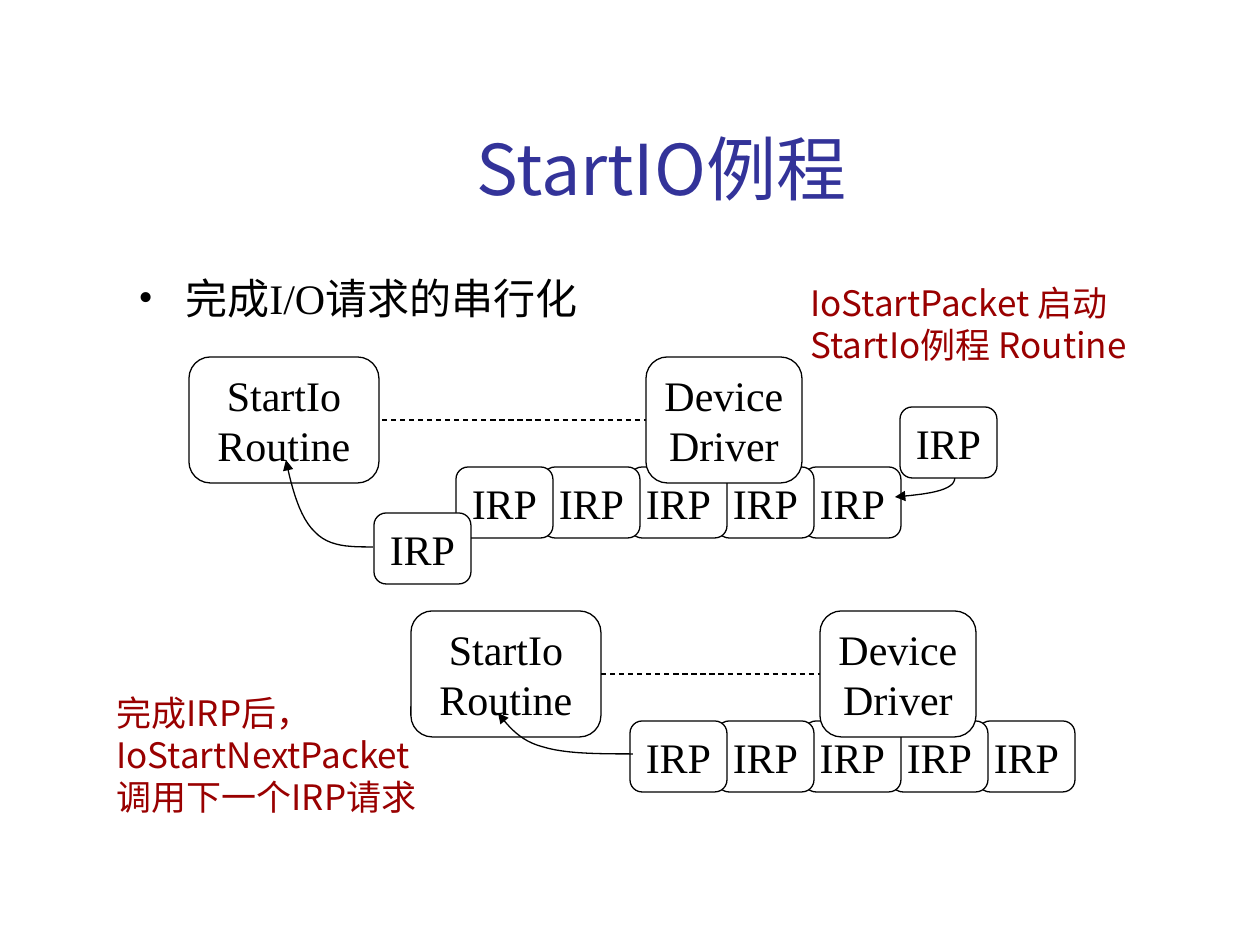
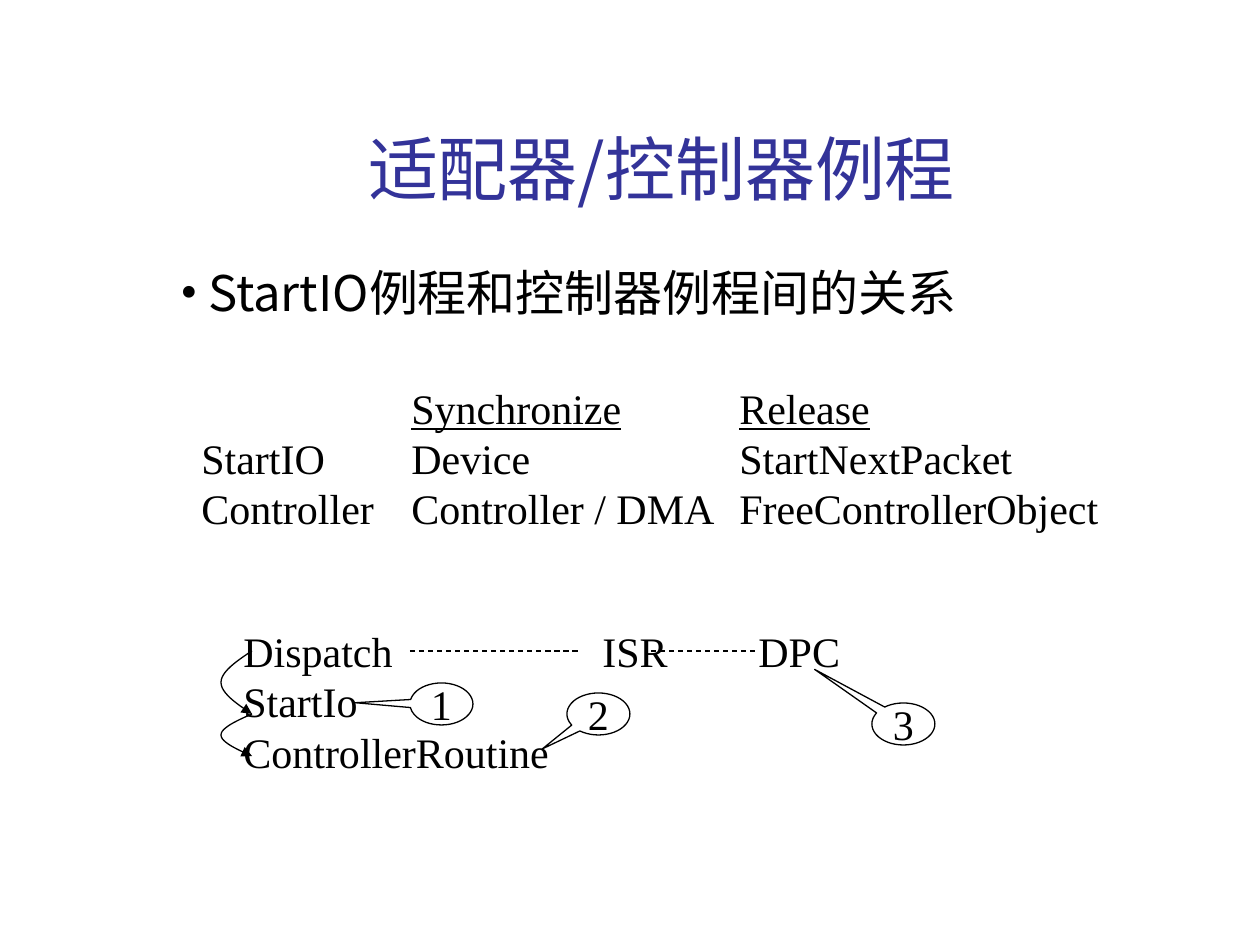
from lxml import etree
from pptx import Presentation
from pptx.dml.color import RGBColor
from pptx.enum import dml, shapes, text
from pptx.oxml.ns import qn
from pptx.util import Pt

PX = 7257
BLACK, WHITE, BLUE, RED = "000000", "FFFFFF", "333399", "990000"
SERIF, SANS = "Times New Roman", "Noto Sans CJK SC"
LEFT, CENTER = text.PP_ALIGN.LEFT, text.PP_ALIGN.CENTER
TOP, MIDDLE = text.MSO_ANCHOR.TOP, text.MSO_ANCHOR.MIDDLE
ROUNDED = shapes.MSO_SHAPE.ROUNDED_RECTANGLE
CALLOUT = shapes.MSO_SHAPE.OVAL_CALLOUT


def outline(shape, arrow=False, dashed=False):
    shape.line.color.rgb = RGBColor.from_string(BLACK)
    shape.line.width = Pt(0.75)
    if dashed:
        shape.line.dash_style = dml.MSO_LINE.DASH
    properties = shape._element.spPr
    if arrow:
        etree.SubElement(properties.find(qn("a:ln")), qn("a:tailEnd"), type="triangle")
    etree.SubElement(properties, qn("a:effectLst"))


def write(box, lines, size=24, font=SERIF, color=BLACK, align=LEFT, anchor=TOP,
          wrap=True, hanging=0, tabs=(), underlined=()):
    frame = box.text_frame
    frame.word_wrap = wrap
    frame.vertical_anchor = anchor
    frame.margin_left = frame.margin_right = Pt(7.2)
    frame.margin_top = frame.margin_bottom = Pt(3.6)
    for number, line in enumerate(lines):
        para = frame.add_paragraph() if number else frame.paragraphs[0]
        para.alignment = align
        para.line_spacing = Pt(size * 1.2)
        settings = para._p.get_or_add_pPr()
        if hanging:
            settings.set("marL", str(hanging * PX))
            settings.set("indent", str(-hanging * PX))
            bullet_color = etree.SubElement(settings, qn("a:buClr"))
            etree.SubElement(bullet_color, qn("a:srgbClr"), val=BLACK)
            etree.SubElement(settings, qn("a:buFont"), typeface=SERIF)
            etree.SubElement(settings, qn("a:buChar"), char="•")
        if tabs:
            stops = etree.SubElement(settings, qn("a:tabLst"))
            for stop in tabs:
                etree.SubElement(stops, qn("a:tab"), pos=str(stop * PX), algn="l")
        for words in line:
            span = para.add_run()
            span.text = words
            span.font.size = Pt(size)
            span.font.name = font
            span.font.color.rgb = RGBColor.from_string(color)
            if words in underlined:
                span.font.underline = True
            etree.SubElement(span._r.get_or_add_rPr(), qn("a:ea"), typeface=SANS)


IRP = [["IRP"]]
DRIVER = [["Device"], ["Driver"]]
ROUTINE = [["StartIo Routine"]]
IRP_SIZE, DRIVER_SIZE, ROUTINE_SIZE, CALLOUT_SIZE = (97, 71), (156, 126), (190, 126), (63, 42)
QUEUE_STEP = 87

startio_items = [
    ("text", (126, 266, 1040, 70), [["完成I/O请求的串行化"]], dict(hanging=47)),
]
for top, routine, driver, queue, dash, waiting, entering, taken in [
    (357, 189, 646, 456, (373, 663), [(374, 513)],
     [("curve", [(950, 460), (954, 470), (959, 480), (950, 486), (940, 493), (917, 495), (895, 497)]),
      ("shape", ROUNDED, (900, 407) + IRP_SIZE, IRP, [0.17], False)],
     [(373, 547), (350, 547), (329, 547), (315, 532), (300, 518), (292, 489), (286, 460)]),
    (611, 411, 820, 630, (547, 837), [], [],
     [(633, 754), (600, 754), (566, 754), (543, 747), (520, 741), (509, 727), (498, 713)]),
]:
    startio_items.append(("dash", dash[0], dash[1], top + 63))
    places = [(queue + QUEUE_STEP * slot, top + 110) for slot in reversed(range(5))]
    for place in places + waiting:
        startio_items.append(("shape", ROUNDED, place + IRP_SIZE, IRP, [0.17], False))
    startio_items += entering
    startio_items.append(("shape", ROUNDED, (driver, top) + DRIVER_SIZE, DRIVER, [0.17], False))
    startio_items.append(("shape", ROUNDED, (routine, top) + ROUTINE_SIZE, ROUTINE, [0.17], True))
    startio_items.append(("curve", taken))
note = dict(size=20, font=SANS, color=RED)
startio_items += [
    ("text", (798, 275, 378, 139), [["IoStartPacket 启动 StartIo例程 Routine"]], note),
    ("text", (104, 685, 348, 181), [["完成IRP后，IoStartNextPacket"], ["调用下一个IRP请求"]], note),
]

controller_items = [
    ("text", (189, 376, 922, 164),
     [["\t", "Synchronize", "\t", "Release"],
      ["StartIO\tDevice\tStartNextPacket"],
      ["Controller\tController / DMA\tFreeControllerObject"]],
     dict(wrap=False, tabs=(210, 538), underlined=("Synchronize", "Release"))),
    ("text", (231, 619, 684, 164),
     [["Dispatch\tISR\tDPC"], ["StartIo"], ["ControllerRoutine"]],
     dict(anchor=MIDDLE, tabs=(359, 515))),
]
for number, place, tip in [
    ("1", (410, 683), [-1.37, -0.03]),
    ("2", (567, 693), [-0.89, 0.83]),
    ("3", (872, 703), [-1.41, -1.3]),
]:
    controller_items.append(("shape", CALLOUT, place + CALLOUT_SIZE, [[number]], tip, False))
for top, bottom in [(651, 714), (714, 756)]:
    step = (bottom - top) / 6
    bends = [252, 236, 221, 221, 221, 236, 252]
    controller_items.append(("curve", [(x, top + step * i) for i, x in enumerate(bends)]))
controller_items += [
    ("dash", 410, 578, 651),
    ("dash", 651, 756, 651),
    ("text", (168, 256, 924, 131), [["StartIO例程和控制器例程间的关系"]],
     dict(size=28, font=SANS, hanging=28)),
]

deck = Presentation()
deck.slide_width, deck.slide_height = 1260 * PX, 945 * PX
title_style = dict(size=40, font=SANS, color=BLUE, align=CENTER, anchor=MIDDLE)
for title, items in [
    (["StartIO", "例程"], startio_items),
    (["适配器/控制器例程"], controller_items),
]:
    page = deck.slides.add_slide(deck.slide_layouts[6])
    heading = ("text", (126, 88, 1071, 158), [title], title_style)
    for kind, *details in [heading] + items:
        if kind == "text":
            area, lines, style = details
            write(page.shapes.add_textbox(*[v * PX for v in area]), lines, **style)
        elif kind == "shape":
            preset, area, lines, adjustments, wrap = details
            box = page.shapes.add_shape(preset, *[v * PX for v in area])
            for index, value in enumerate(adjustments):
                box.adjustments[index] = value
            box.fill.solid()
            box.fill.fore_color.rgb = RGBColor.from_string(WHITE)
            outline(box)
            write(box, lines, align=CENTER, anchor=MIDDLE, wrap=wrap)
        elif kind == "dash":
            start, end, height = details
            link = page.shapes.add_connector(
                shapes.MSO_CONNECTOR.STRAIGHT, start * PX, height * PX, end * PX, height * PX)
            outline(link, dashed=True)
        else:
            points = details[0]
            trail = []
            for first in (0, 3):
                bend = points[first:first + 4]
                for step in range(1, 13):
                    t = step / 12
                    weights = ((1 - t) ** 3, 3 * t * (1 - t) ** 2, 3 * t * t * (1 - t), t ** 3)
                    trail.append(tuple(
                        round(PX * sum(w * point[axis] for w, point in zip(weights, bend)))
                        for axis in (0, 1)))
            builder = page.shapes.build_freeform(round(points[0][0] * PX), round(points[0][1] * PX))
            builder.add_line_segments(trail, close=False)
            curve = builder.convert_to_shape()
            curve.fill.background()
            outline(curve, arrow=True)

deck.save("out.pptx")
